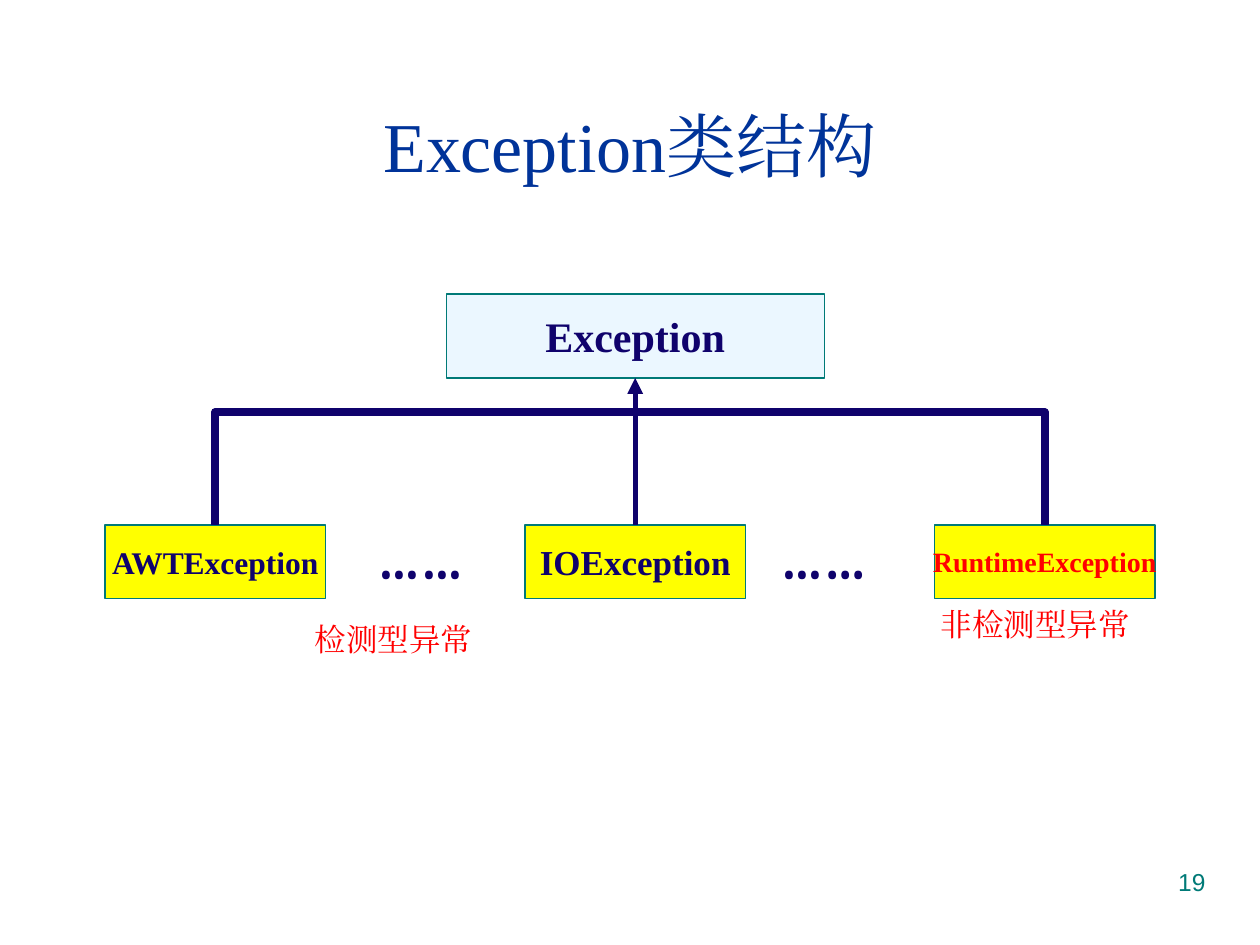
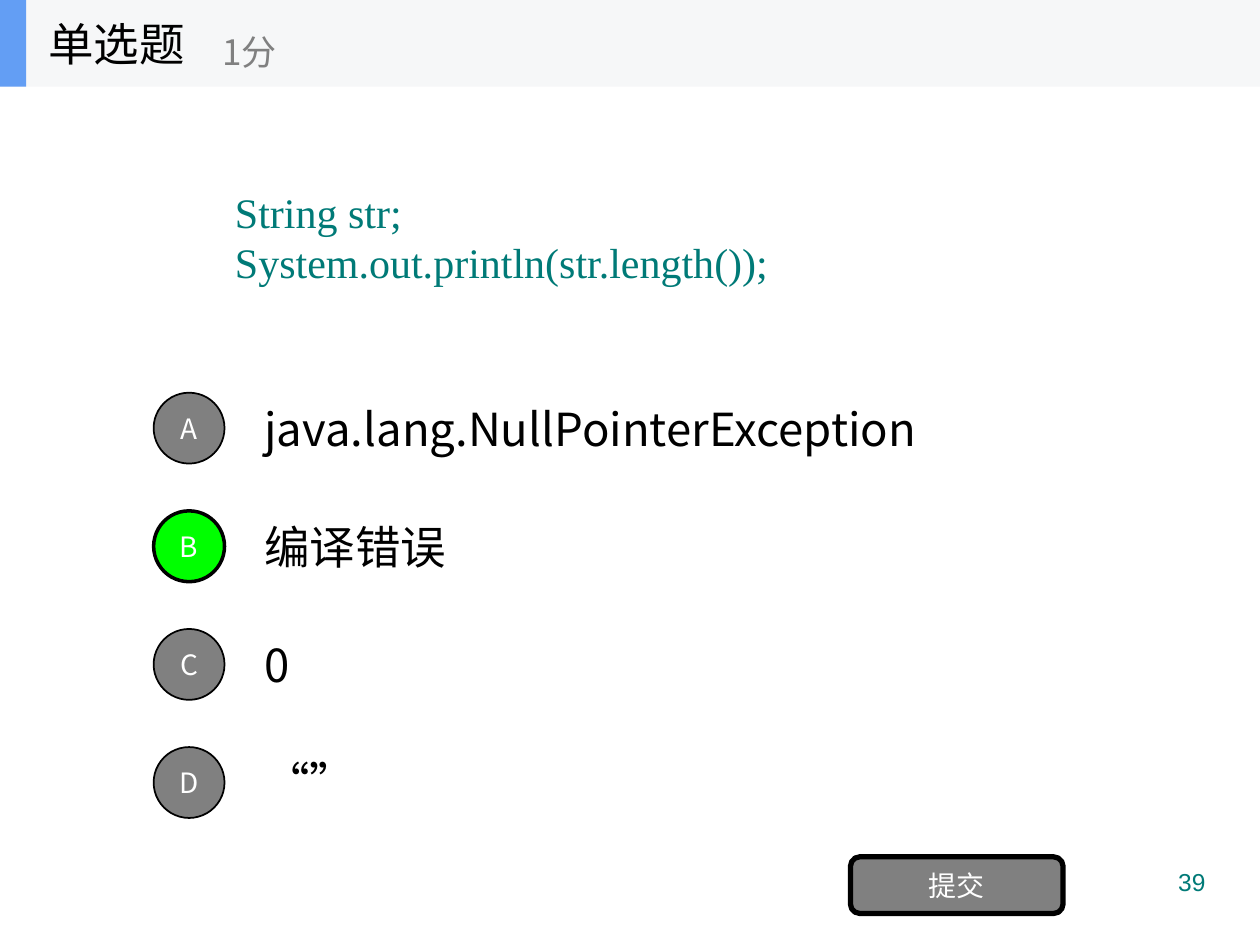
from lxml import etree
from pptx import Presentation
from pptx.dml.color import RGBColor
from pptx.enum.shapes import MSO_CONNECTOR, MSO_SHAPE
from pptx.enum.text import MSO_ANCHOR as Anchor, PP_ALIGN as Align
from pptx.oxml.ns import qn
from pptx.util import Inches, Pt

NAVY = RGBColor(0x0F, 0x02, 0x6C)
BLUE = RGBColor(0x00, 0x33, 0x99)
TEAL = RGBColor(0x00, 0x7A, 0x77)
PALE_BLUE = RGBColor(0xEB, 0xF7, 0xFF)
YELLOW = RGBColor(0xFF, 0xFF, 0x00)
RED = RGBColor(0xFF, 0x00, 0x00)
GREEN = RGBColor(0x00, 0xFF, 0x00)
GRAY = RGBColor(0x80, 0x80, 0x80)
BAND_GRAY = RGBColor(0xF6, 0xF7, 0xF8)
BAND_BLUE = RGBColor(0x63, 0x9E, 0xF4)
BLACK = RGBColor(0, 0, 0)
WHITE = RGBColor(0xFF, 0xFF, 0xFF)

SERIF = "Times New Roman"
SANS = "Noto Sans CJK SC"
CAMBRIA = "Cambria"

# The slide is a grid of 120 columns by 90 rows.
CELL = Inches(10) / 120


def add_box(page, area, kind=None, fill=None, line=None, width=0.75):
    """Add a preset shape, or a text box without a kind; area is in grid cells."""
    spot = [round(cells * CELL) for cells in area]
    if kind is None:
        return page.shapes.add_textbox(*spot)
    box = page.shapes.add_shape(kind, *spot)
    box.shadow.inherit = False
    box.fill.solid()
    box.fill.fore_color.rgb = fill
    if line is None:
        box.line.fill.background()
    else:
        box.line.color.rgb = line
        box.line.width = Pt(width)
    return box


def write(box, text, size, color, font=SANS, bold=False, align=Align.LEFT,
          anchor=Anchor.MIDDLE, wrap=True, spacing=None):
    frame = box.text_frame
    frame.word_wrap = wrap
    frame.vertical_anchor = anchor
    for number, line in enumerate(text.split("\n")):
        para = frame.add_paragraph() if number else frame.paragraphs[0]
        para.alignment = align
        para.line_spacing = spacing
        span = para.add_run()
        span.text = line
        span.font.size = Pt(size)
        span.font.name = font
        span.font.bold = bold
        span.font.color.rgb = color
        east_asian = etree.SubElement(span.font._element, qn("a:ea"))
        east_asian.set("typeface", font)


deck = Presentation()
deck.slide_width, deck.slide_height = Inches(10), Inches(7.5)
title_only = deck.slide_layouts[5]
tree_page, quiz_page = [deck.slides.add_slide(title_only) for _ in range(2)]

for page, number, title_area in (
        (tree_page, "19", (4, 6.25, 112, 15)),
        (quiz_page, "39", (3.4, 0, 25, 8.25))):
    write(add_box(page, (86, 82, 30, 6.25)), number, 14, TEAL, font="Arial",
          align=Align.RIGHT, anchor=Anchor.TOP)
    title = page.shapes.title
    title.left, title.top, title.width, title.height = [
        round(cells * CELL) for cells in title_area]

# Class tree
write(tree_page.shapes.title, "Exception类结构", 40, BLUE, font=SERIF,
      align=Align.CENTER)
parent = add_box(tree_page, (42.5, 28, 36, 8), MSO_SHAPE.RECTANGLE, PALE_BLUE, TEAL)
write(parent, "Exception", 24, NAVY, font=SERIF, bold=True, align=Align.CENTER,
      wrap=False)

CHILD_TOP, CHILD_WIDTH, CHILD_HEIGHT = 50, 21, 7
children = []
for left, name, size, color in (
        (10, "AWTException", 18, NAVY),
        (50, "IOException", 20, NAVY),
        (89, "RuntimeException", 16, RED)):
    child = add_box(tree_page, (left, CHILD_TOP, CHILD_WIDTH, CHILD_HEIGHT),
                    MSO_SHAPE.RECTANGLE, YELLOW, TEAL)
    write(child, name, size, color, font=SERIF, bold=True, align=Align.CENTER,
          wrap=False)
    children.append(child)

for left in (34, 72.4):
    write(add_box(tree_page, (left, CHILD_TOP, 12.1, CHILD_HEIGHT)), "……", 32, NAVY,
          font=CAMBRIA, bold=True, align=Align.CENTER, anchor=Anchor.TOP, wrap=False,
          spacing=0.9)

for area, label in (((28.8, 58.5, 19.8, 4.85), "检测型异常"),
                    ((88.4, 57, 30, 4.85), "非检测型异常")):
    write(add_box(tree_page, area), label, 18, RED, font=CAMBRIA, anchor=Anchor.TOP)

arrow = tree_page.shapes.add_connector(MSO_CONNECTOR.STRAIGHT, 0, 0, 0, 0)
arrow.begin_connect(parent, 2)
arrow.end_connect(children[1], 0)
arrow.line.color.rgb = NAVY
arrow.line.width = Pt(3)
etree.SubElement(arrow.line._get_or_add_ln(), qn("a:headEnd")).set("type", "triangle")
etree.SubElement(arrow._element.spPr, qn("a:effectLst"))

first_x, last_x = [child.left + child.width // 2 for child in (children[0], children[-1])]
child_y, bracket_y = children[0].top, round(39.25 * CELL)
outline = tree_page.shapes.build_freeform(first_x, child_y)
outline.add_line_segments(
    [(first_x, bracket_y), (last_x, bracket_y), (last_x, child_y)], close=False)
bracket = outline.convert_to_shape()
bracket.shadow.inherit = False
bracket.fill.background()
bracket.line.color.rgb = NAVY
bracket.line.width = Pt(4.5)

# Quiz question
OPTION_PITCH = 11.25
for row, (letter, answer) in enumerate((
        ("A", "java.lang.NullPointerException"),
        ("B", "编译错误"),
        ("C", "0"),
        ("D", "“”"))):
    shift = row * OPTION_PITCH
    write(add_box(quiz_page, (24, 36.56 + shift, 84, 8.44)), answer, 26, BLACK)
    correct = letter == "B"
    badge = add_box(quiz_page, (14.63, 37.4 + shift, 6.75, 6.75), MSO_SHAPE.OVAL,
                    GREEN if correct else GRAY, BLACK, 2 if correct else 1)
    write(badge, letter, 16, WHITE, align=Align.CENTER)

button = add_box(quiz_page, (81, 81.6, 20.25, 5.4), MSO_SHAPE.ROUNDED_RECTANGLE,
                 GRAY, BLACK, 3)
write(button, "提交", 16, WHITE, align=Align.CENTER)

write(add_box(quiz_page, (20.2, 17.1, 55.8, 15.6)),
      " String str;\n System.out.println(str.length());", 24, TEAL, font=SERIF,
      anchor=Anchor.TOP, spacing=Pt(29))

add_box(quiz_page, (0, 0, 120, 8.25), MSO_SHAPE.RECTANGLE, BAND_GRAY)
accent = add_box(quiz_page, (0, 0, 2.5, 8.25), MSO_SHAPE.RECTANGLE, BAND_BLUE)
heading = quiz_page.shapes.title
accent.element.addnext(heading.element)
write(heading, "单选题", 26, BLACK)
write(add_box(quiz_page, (20, 1.5, 30, 6.75)), "1分", 20, GRAY)

deck.save("out.pptx")
